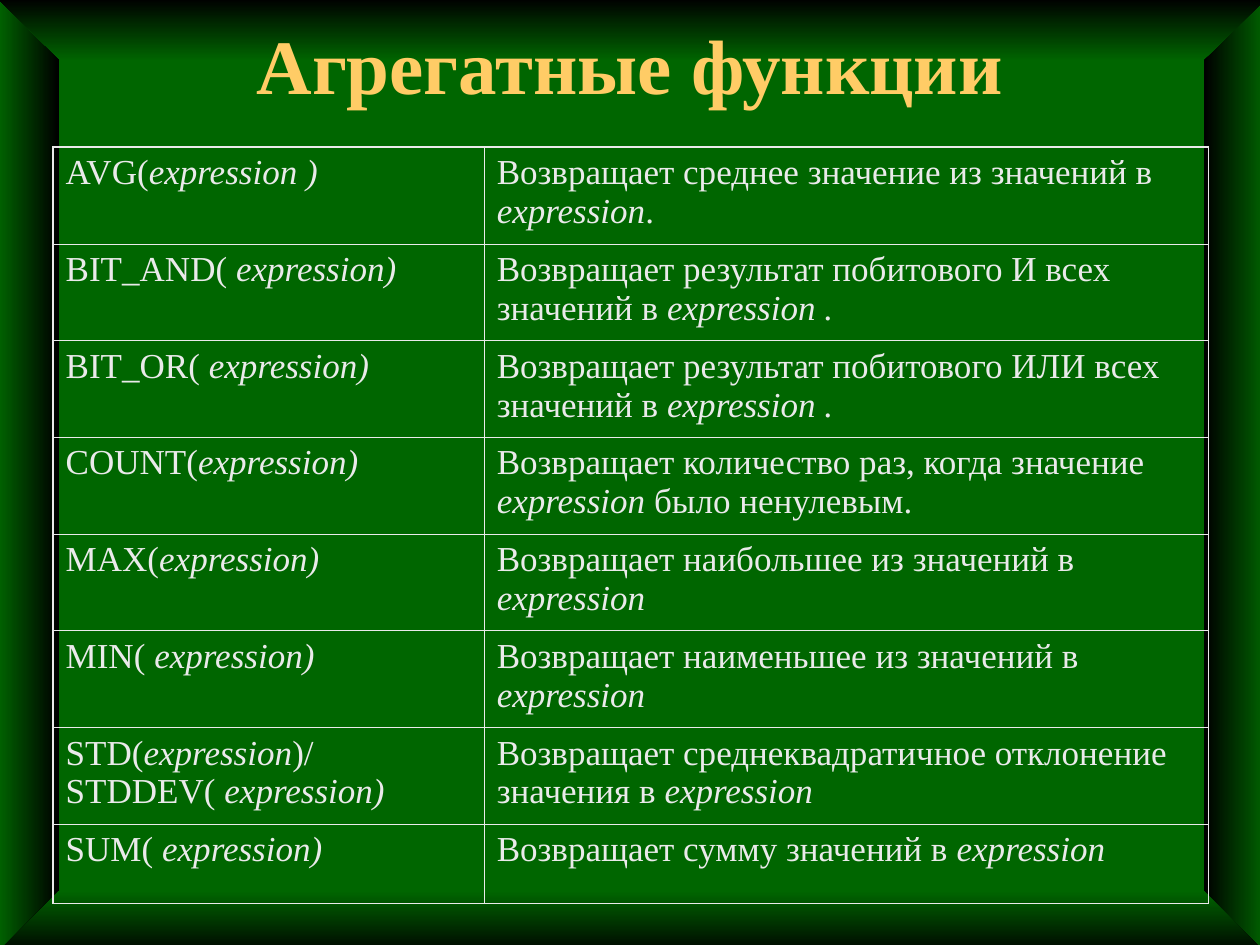
from dataclasses import dataclass

import pptx
import pptx.dml.color
import pptx.enum.shapes
import pptx.enum.text
import pptx.oxml
import pptx.oxml.ns
import pptx.util
from pptx.util import Cm

GREEN = pptx.dml.color.RGBColor(0x00, 0x66, 0x00)
BLACK = pptx.dml.color.RGBColor(0x00, 0x00, 0x00)
GOLD = pptx.dml.color.RGBColor(0xFF, 0xCC, 0x66)
LIGHT = pptx.dml.color.RGBColor(0xEA, 0xEA, 0xEA)
FONT = "Times New Roman"
OUTER, INNER = pptx.util.Pt(1.08), pptx.util.Pt(0.45)


@dataclass
class Bevel:
    """One edge of the frame; the gradient runs from start to end."""
    points: list[tuple[float, float]]
    start: pptx.dml.color.RGBColor
    end: pptx.dml.color.RGBColor
    angle: int


@dataclass
class Function:
    """One table row; asterisks enclose italic text."""
    call: str
    meaning: str


def side(left: float) -> list[tuple[float, float]]:
    right, top, bottom = left + 1.27, -0.03, 19.22
    return [(left, top), (right, top), (right, bottom), (left, bottom)]


BEVELS = [
    Bevel(side(24.28), GREEN, BLACK, 180),
    Bevel(side(-0.08), BLACK, GREEN, 180),
    Bevel([(-0.05, -0.03), (25.53, -0.03), (24.23, 1.24), (1.24, 1.24)], GREEN, BLACK, 90),
    Bevel([(-0.1, 19.25), (25.55, 19.25), (24.26, 17.96), (1.19, 17.96)], BLACK, GREEN, 90),
]

FUNCTIONS = [
    Function("AVG(*expression )*", "Возвращает среднее значение из значений в *expression*."),
    Function("BIT_AND( *expression)*", "Возвращает результат побитового И всех значений в *expression .*"),
    Function("BIT_OR( *expression)*", "Возвращает результат побитового ИЛИ всех значений в *expression .*"),
    Function("COUNT(*expression)*", "Возвращает количество раз, когда значение *expression *было ненулевым."),
    Function("MAX(*expression)*", "Возвращает наибольшее из значений в *expression*"),
    Function("MIN( *expression)*", "Возвращает наименьшее из значений в *expression*"),
    Function("STD(*expression*)/ STDDEV( *expression)*",
             "Возвращает среднеквадратичное отклонение значения в *expression*"),
    Function("SUM( *expression)*", "Возвращает сумму значений в *expression*"),
]


def draw_bevel(s: pptx.slide.Slide, bevel: Bevel) -> None:
    points = [(Cm(x), Cm(y)) for x, y in bevel.points]
    if bevel.angle == 180:
        (left, top), (right, bottom) = points[0], points[2]
        sp = s.shapes.add_shape(pptx.enum.shapes.MSO_SHAPE.RECTANGLE,
                                left, top, right - left, bottom - top)
    else:
        builder = s.shapes.build_freeform(*points[0])
        builder.add_line_segments(points[1:], close=True)
        sp = builder.convert_to_shape()
    sp.shadow.inherit = False
    sp.line.fill.background()
    sp.fill.gradient()
    sp.fill.gradient_angle = bevel.angle
    for stop, color, position in zip(sp.fill.gradient_stops, (bevel.start, bevel.end), (0, 1)):
        stop.color.rgb = color
        stop.position = position


def set_font(p, size: int, color: pptx.dml.color.RGBColor, bold: bool = False) -> None:
    p.font.name = FONT
    p.font.size = pptx.util.Pt(size)
    p.font.color.rgb = color
    p.font.bold = bold


def draw_title(s: pptx.slide.Slide, text: str) -> None:
    tf = s.shapes.add_textbox(Cm(1.9), Cm(0.43), Cm(21.6), Cm(1.7)).text_frame
    tf.word_wrap = True
    tf.vertical_anchor = pptx.enum.text.MSO_ANCHOR.MIDDLE
    p = tf.paragraphs[0]
    p.text = text
    p.alignment = pptx.enum.text.PP_ALIGN.CENTER
    set_font(p, 44, GOLD, bold=True)


def set_borders(cell, widths: dict[str, int]) -> None:
    tcPr = cell._tc.get_or_add_tcPr()
    for edge, width in widths.items():
        tcPr.append(pptx.oxml.parse_xml(
            f'<a:ln{edge} {pptx.oxml.ns.nsdecls("a")} w="{width}"><a:solidFill>'
            f'<a:srgbClr val="{LIGHT}"/></a:solidFill></a:ln{edge}>'))


def fill_cell(cell, text: str) -> None:
    cell.fill.background()
    p = cell.text_frame.paragraphs[0]
    p.space_before = pptx.util.Pt(5)
    set_font(p, 20, LIGHT)
    for i, part in enumerate(text.split("*")):
        if part:
            r = p.add_run()
            r.text = part
            r.font.italic = i % 2 == 1


def draw_table(s: pptx.slide.Slide, functions: list[Function]) -> None:
    widths = [Cm(8.69), Cm(14.6)]
    last = len(functions) - 1
    heights = [Cm(1.94)] * last + [Cm(1.6)]
    table = s.shapes.add_table(len(functions), 2, Cm(1.07), Cm(2.97),
                               sum(widths), sum(heights)).table
    table.first_row = table.horz_banding = False
    for column, width in zip(table.columns, widths):
        column.width = width
    for i, (function, height) in enumerate(zip(functions, heights)):
        table.rows[i].height = height
        for j, text in enumerate((function.call, function.meaning)):
            cell = table.cell(i, j)
            on_edge = {"L": j == 0, "R": j == 1, "T": i == 0, "B": i == last}
            set_borders(cell, {e: OUTER if on else INNER for e, on in on_edge.items()})
            fill_cell(cell, text)


def main() -> None:
    prs = pptx.Presentation()
    prs.slide_width, prs.slide_height = Cm(25.4), Cm(19.05)
    s = prs.slides.add_slide(prs.slide_layouts[6])
    s.background.fill.solid()
    s.background.fill.fore_color.rgb = GREEN

    # Bevelled frame
    for bevel in BEVELS:
        draw_bevel(s, bevel)

    # Title and table of functions
    draw_title(s, "Агрегатные функции")
    draw_table(s, FUNCTIONS)

    prs.save("out.pptx")


if __name__ == "__main__":
    main()
